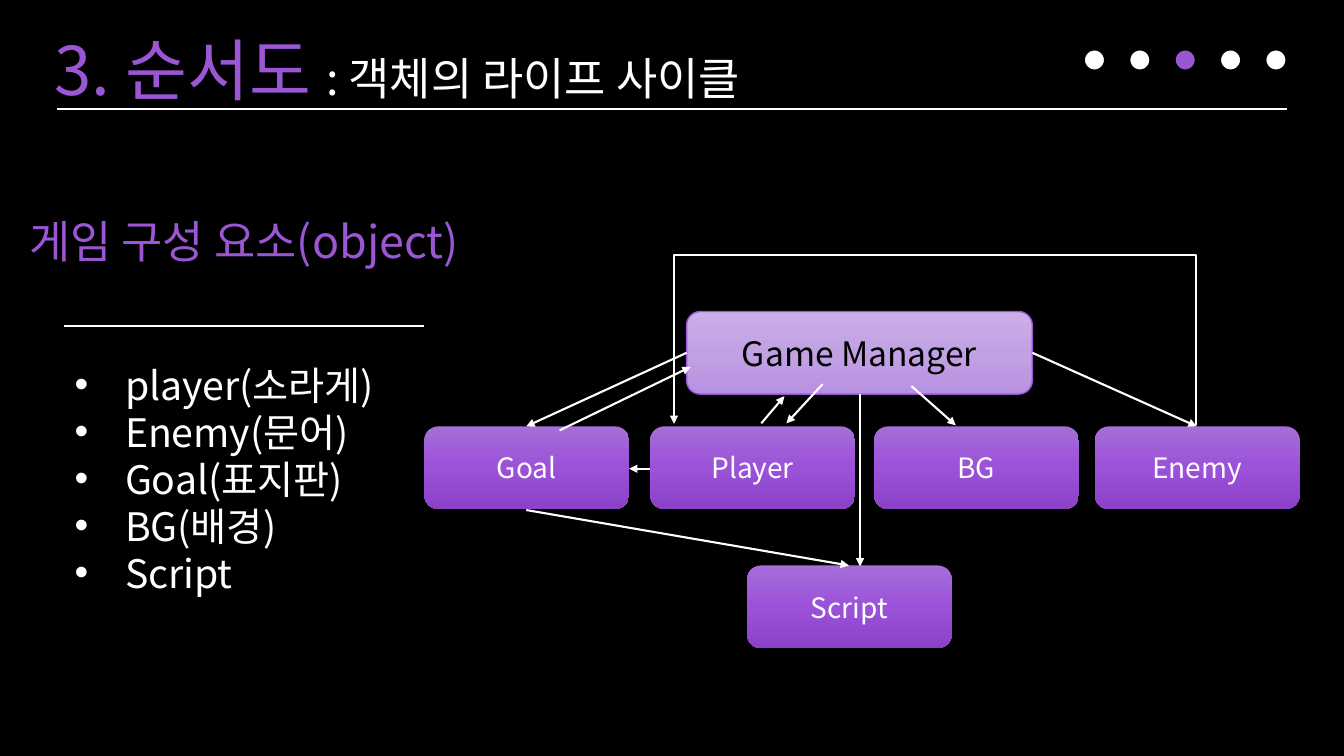
import copy
from dataclasses import dataclass
from typing import Any

import pptx
import pptx.dml.color
import pptx.enum.shapes
import pptx.enum.text
import pptx.oxml
import pptx.oxml.ns
import pptx.util

Inches = pptx.util.Inches
Pt = pptx.util.Pt
RGB = pptx.dml.color.RGBColor.from_string
qn = pptx.oxml.ns.qn
SHAPE = pptx.enum.shapes.MSO_SHAPE
CONNECTOR = pptx.enum.shapes.MSO_CONNECTOR
ALIGN = pptx.enum.text.PP_ALIGN
ANCHOR = pptx.enum.text.MSO_ANCHOR
NO_FIT = pptx.enum.text.MSO_AUTO_SIZE.NONE


@dataclass(frozen=True)
class Theme:
    font: str = "Noto Sans CJK KR"
    black: str = "000000"
    white: str = "FFFFFF"
    purple: str = "9B57D3"
    light_stops: tuple = ("CBAFE8", "C1A1E3", "B991E3")
    dark_stops: tuple = ("A66ED9", "9C51D9", "8B41C8")
    title: float = 48
    heading: float = 32
    body: float = 28
    manager: float = 24
    node: float = 20
    line: float = 1.5


@dataclass(frozen=True)
class Node:
    text: str
    x: float
    y: float
    w: float = 2.03
    h: float = 0.82
    main: bool = False


@dataclass(frozen=True)
class Line:
    x1: float
    y1: float
    x2: float
    y2: float
    arrow: bool = True


T = Theme()
ROW_Y = 4.23
NODES = [
    Node("Game Manager", 6.81, 3.09, 3.43, main=True),
    Node("Goal", 4.21, ROW_Y),
    Node("Player", 6.45, ROW_Y),
    Node("BG", 8.67, ROW_Y),
    Node("Enemy", 10.86, ROW_Y),
    Node("Script", 7.41, 5.61),
]
LINES = [
    Line(0.57, 1.08, 12.76, 1.08, arrow=False),  # under the title
    Line(0.63, 3.23, 4.21, 3.23, arrow=False),  # under the heading
    Line(8.16, 3.81, 7.8, 4.2),  # manager to player
    Line(7.55, 4.2, 7.78, 3.93),  # player to manager
    Line(9.04, 3.83, 9.48, 4.22),  # manager to BG
    Line(10.24, 3.5, 11.87, 4.23),  # manager to enemy
    Line(6.81, 3.5, 5.22, 4.23),  # manager to goal
    Line(5.55, 4.27, 6.85, 3.64),  # goal to manager
    Line(5.22, 5.06, 8.42, 5.61),  # goal to script
    Line(8.53, 3.91, 8.53, 5.62),  # manager to script
    Line(6.45, 4.65, 6.24, 4.65),  # player to goal
]
OBJECTS = ["player(소라게)", "Enemy(문어)", "Goal(표지판)", "BG(배경)", "Script"]


def apply(target: Any, formats: dict) -> None:
    for name, value in formats.items():
        setattr(target, name, value)


def add_run(p: Any, text: str, size: float, color: str) -> None:
    r = p.add_run()
    r.text = text
    apply(r.font, {"name": T.font, "size": Pt(size), "bold": False})
    r.font.color.rgb = RGB(color)
    ea = pptx.oxml.parse_xml(
        f'<a:ea {pptx.oxml.ns.nsdecls("a")} typeface="{T.font}"/>')
    r.font._element.find(qn("a:latin")).addnext(ea)


def place(sp: Any, x: float, y: float, w: float, h: float) -> Any:
    apply(sp, {"left": Inches(x), "top": Inches(y),
               "width": Inches(w), "height": Inches(h)})
    tf = sp.text_frame
    apply(tf, {"word_wrap": True, "auto_size": NO_FIT,
               "vertical_anchor": ANCHOR.TOP})
    return tf


def format_line(cx: Any, arrow: bool) -> None:
    cx.line.color.rgb = RGB(T.white)
    cx.line.width = Pt(T.line)
    if arrow:
        cx.line._get_or_add_ln().append(pptx.oxml.parse_xml(
            f'<a:tailEnd {pptx.oxml.ns.nsdecls("a")} type="triangle"/>'))
    cx._element.spPr.append(pptx.oxml.parse_xml(
        f'<a:effectLst {pptx.oxml.ns.nsdecls("a")}/>'))


def add_line(s: Any, item: Line) -> None:
    cx = s.shapes.add_connector(
        CONNECTOR.STRAIGHT, *map(Inches, (item.x1, item.y1, item.x2, item.y2)))
    format_line(cx, item.arrow)


def add_loop(s: Any) -> None:
    # Turned elbow from enemy over the manager to player; its middle
    # rises 171 times the 0.01 inch width
    cx = s.shapes.add_connector(
        CONNECTOR.ELBOW, *map(Inches, (9.27, 6.8, 9.28, 1.62)))
    spPr = cx._element.spPr
    spPr.find(qn("a:xfrm")).set("rot", str(270 * 60000))
    geom = spPr.find(qn("a:prstGeom"))
    guides = geom.find(qn("a:avLst"))
    if guides is not None:
        geom.remove(guides)
    geom.append(pptx.oxml.parse_xml(
        f'<a:avLst {pptx.oxml.ns.nsdecls("a")}>'
        '<a:gd name="adj1" fmla="val 17100000"/></a:avLst>'))
    format_line(cx, arrow=True)


def fill_gradient(sp: Any, colors: tuple) -> None:
    sp.fill.gradient()
    sp.fill.gradient_angle = 270
    stops = sp._element.spPr.find(qn("a:gradFill")).find(qn("a:gsLst"))
    stops.insert(1, copy.deepcopy(stops[0]))
    for i, (stop, color) in enumerate(zip(sp.fill.gradient_stops, colors)):
        stop.position = i / 2
        stop.color.rgb = RGB(color)


def add_node(s: Any, node: Node) -> None:
    sp = s.shapes.add_shape(SHAPE.ROUNDED_RECTANGLE,
                            *map(Inches, (node.x, node.y, node.w, node.h)))
    sp.shadow.inherit = False
    fill_gradient(sp, T.light_stops if node.main else T.dark_stops)
    if node.main:
        sp.line.color.rgb = RGB(T.purple)
        sp.line.width = Pt(1)
    else:
        sp.line.fill.background()
    tf = sp.text_frame
    tf.vertical_anchor = ANCHOR.MIDDLE
    p = tf.paragraphs[0]
    p.alignment = ALIGN.CENTER
    add_run(p, node.text, T.manager if node.main else T.node,
            T.black if node.main else T.white)


def add_dots(s: Any, count: int = 5, current: int = 2) -> None:
    for i in range(count):
        sp = s.shapes.add_shape(SHAPE.OVAL, *map(
            Inches, (10.75 + 0.45 * i, 0.49, 0.21, 0.21)))
        sp.shadow.inherit = False
        sp.fill.solid()
        sp.fill.fore_color.rgb = RGB(T.purple if i == current else T.white)
        sp.line.color.rgb = RGB(T.black)
        sp.line.width = Pt(T.line)


def add_texts(s: Any) -> None:
    # Title
    p = place(s.shapes.title, 0.44, 0.17, 8.96, 0.91).paragraphs[0]
    apply(p, {"alignment": ALIGN.LEFT, "line_spacing": Pt(62)})
    add_run(p, "3. 순서도 ", T.title, T.purple)
    add_run(p, ": 객체의 라이프 사이클", T.heading, T.white)

    # Heading
    tf = place(s.shapes.add_textbox(0, 0, 0, 0), 0.07, 2.03, 4.7, 1.18)
    apply(tf, {"margin_left": 0, "margin_right": 0})
    p = tf.paragraphs[0]
    apply(p, {"alignment": ALIGN.CENTER, "line_spacing": Pt(41.5)})
    add_run(p, "게임 구성 요소(object)", T.heading, T.purple)

    # Object list
    tf = place(s.placeholders[1], 0.64, 3.53, 4.12, 2.89)
    for i, text in enumerate(OBJECTS):
        p = tf.add_paragraph() if i else tf.paragraphs[0]
        apply(p, {"alignment": ALIGN.LEFT, "line_spacing": Pt(33.6),
                  "space_before": Pt(0)})
        pPr = p._p.get_or_add_pPr()
        pPr.set("marL", str(Inches(0.5)))
        pPr.set("indent", str(Inches(-0.5)))
        pPr.append(pptx.oxml.parse_xml(
            f'<a:buChar {pptx.oxml.ns.nsdecls("a")} char="•"/>'))
        add_run(p, text, T.body, T.white)


def main() -> None:
    prs = pptx.Presentation()
    apply(prs, {"slide_width": Inches(13.33), "slide_height": Inches(7.5)})
    s = prs.slides.add_slide(prs.slide_layouts[1])
    s.background.fill.solid()
    s.background.fill.fore_color.rgb = RGB(T.black)
    add_texts(s)
    add_dots(s)
    for node in NODES:
        add_node(s, node)
    for item in LINES:
        add_line(s, item)
    add_loop(s)
    prs.save("out.pptx")


if __name__ == "__main__":
    main()
